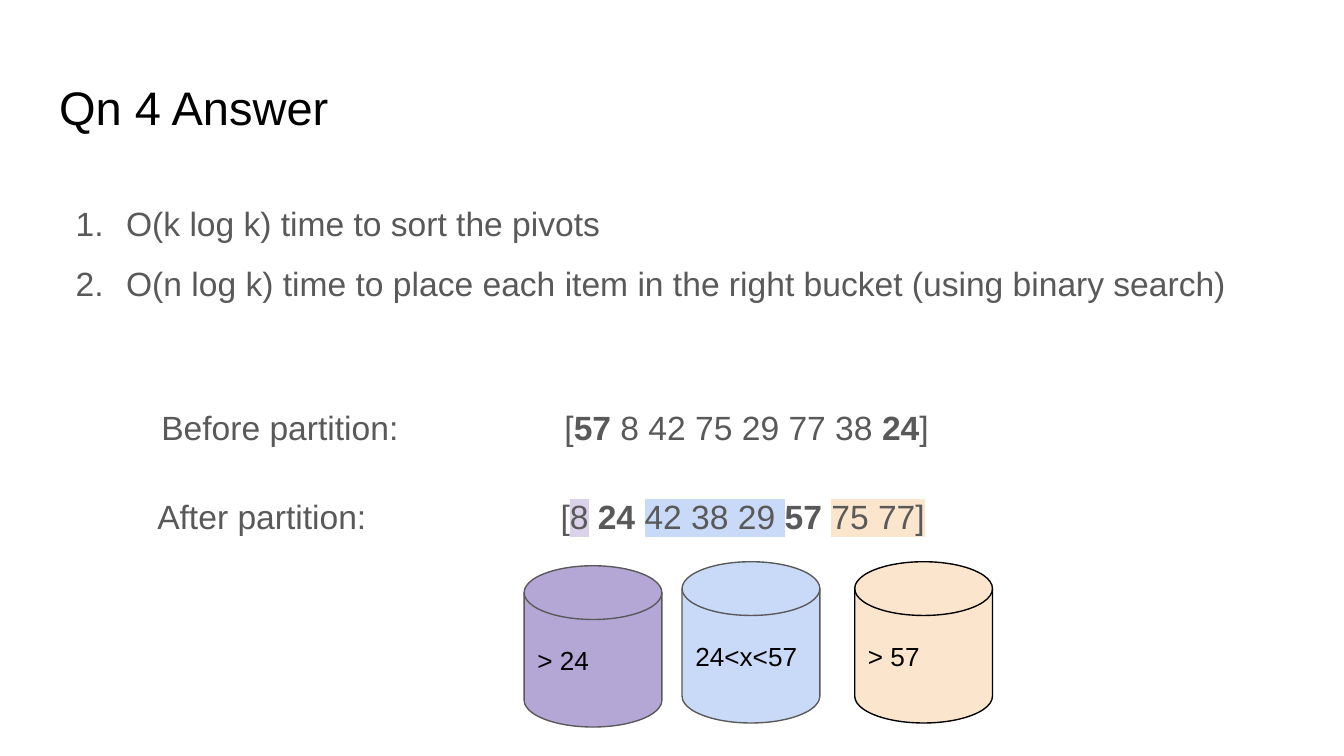
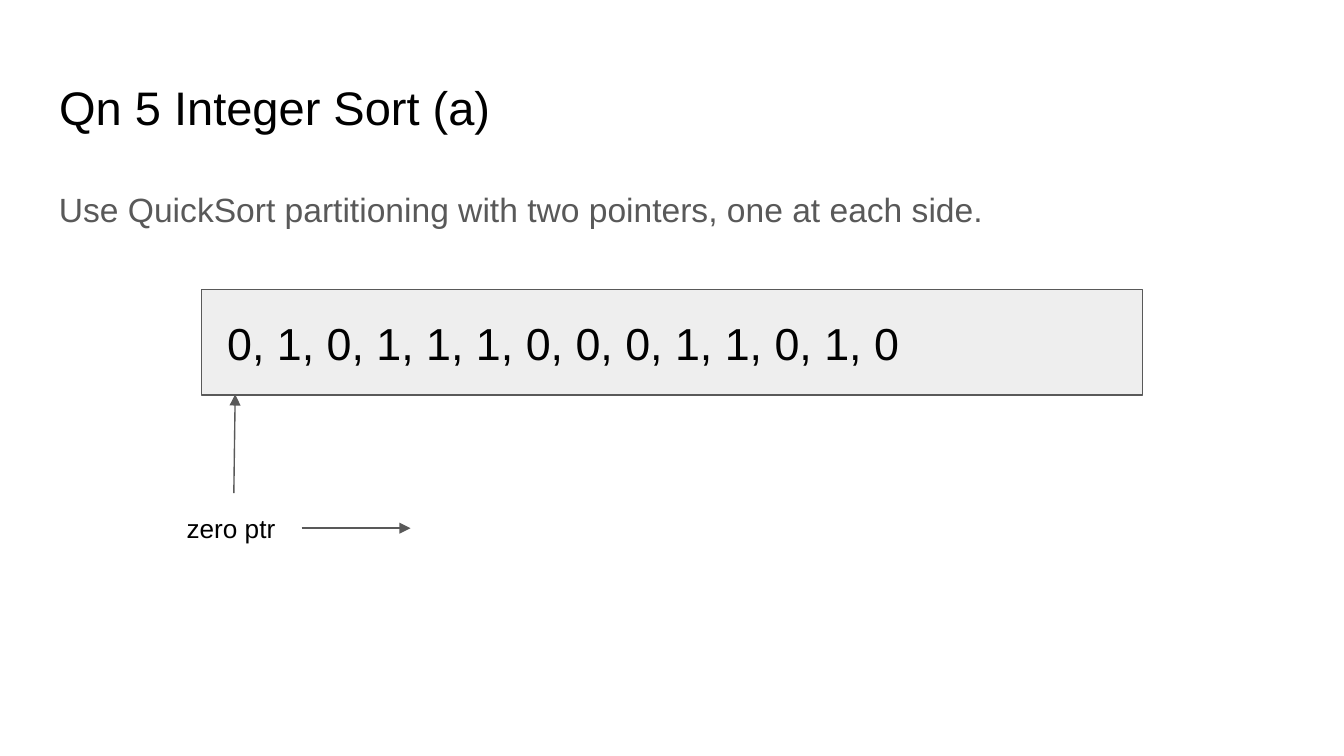
from dataclasses import dataclass

from lxml.etree import SubElement
from pptx import Presentation
from pptx.dml.color import RGBColor
from pptx.enum.shapes import MSO_CONNECTOR, MSO_SHAPE
from pptx.enum.text import MSO_ANCHOR, MSO_AUTO_SIZE, PP_ALIGN
from pptx.oxml.ns import qn
from pptx.util import Emu, Pt


@dataclass(frozen=True)
class Theme:
    font: str = "Arial"
    ink: str = "000000"
    grey: str = "595959"
    white: str = "FFFFFF"
    panel: str = "EEEEEE"
    purple: str = "B4A7D6"
    lilac: str = "D9D2E9"
    blue: str = "C9DAF8"
    peach: str = "FCE5CD"
    title: float = 25.2
    array: float = 24
    body: float = 18
    label: float = 14
    line: float = 0.75


THEME = Theme()
SCALE = 4572  # EMU in one px, 200 px to the inch
WIDTH, HEIGHT = 2000, 1125
TITLE = (68, 97, 1864, 125)


def px(*sizes):
    return [Emu(size * SCALE) for size in sizes]


def color(code):
    return RGBColor.from_string(code)


def style(run, size, code, bold=None):
    font = run.font
    font.name, font.size, font.bold = THEME.font, Pt(size), bold
    font.color.rgb = color(code)


def mark(run, code):
    """Highlight the run; its colour must be set already."""
    light = SubElement(run.font._element, qn("a:highlight"))
    SubElement(light, qn("a:srgbClr"), val=code)
    run.font._element.find(qn("a:solidFill")).addnext(light)


def setup(frame, anchor=MSO_ANCHOR.TOP):
    frame.word_wrap = True
    frame.auto_size = MSO_AUTO_SIZE.NONE
    frame.vertical_anchor = anchor
    inset, = px(20)
    frame.margin_left = frame.margin_right = inset
    frame.margin_top = frame.margin_bottom = inset


def write(frame, text, size, code, space=None):
    frame.text = text
    for para in frame.paragraphs:
        para.alignment = PP_ALIGN.LEFT
        para.line_spacing = space
        for run in para.runs:
            style(run, size, code)


def add_text(slide, box, text, size, code, space=None):
    frame = slide.shapes.add_textbox(*px(*box)).text_frame
    setup(frame)
    write(frame, text, size, code, space)
    return frame


def add_block(slide, kind, box, text, size, fill, line):
    shape = slide.shapes.add_shape(kind, *px(*box))
    shape.shadow.inherit = False
    shape.fill.solid()
    shape.fill.fore_color.rgb = color(fill)
    shape.line.color.rgb = color(line)
    shape.line.width = Pt(THEME.line)
    setup(shape.text_frame, MSO_ANCHOR.MIDDLE)
    write(shape.text_frame, text, size, THEME.ink)


def add_arrow(slide, start, end):
    arrow = slide.shapes.add_connector(MSO_CONNECTOR.STRAIGHT, *px(*start, *end))
    arrow.line.color.rgb = color(THEME.grey)
    arrow.line.width = Pt(THEME.line)
    props = arrow._element.spPr
    SubElement(props.find(qn("a:ln")), qn("a:tailEnd"), type="triangle")
    SubElement(props, qn("a:effectLst"))


def add_slide(deck, text):
    slide = deck.slides.add_slide(deck.slide_layouts[5])
    slide.background.fill.solid()
    slide.background.fill.fore_color.rgb = color(THEME.white)
    title = slide.shapes.title
    title.left, title.top, title.width, title.height = px(*TITLE)
    setup(title.text_frame)
    write(title.text_frame, text, THEME.title, THEME.ink)
    return slide


def add_steps(slide, box, steps):
    """Numbered list with a hanging indent."""
    frame = add_text(slide, box, "\n".join(steps), THEME.body, THEME.grey, 1.5)
    indent, hang = px(100, -75)
    for para in frame.paragraphs:
        props = para._p.get_or_add_pPr()
        props.set("marL", str(indent))
        props.set("indent", str(hang))
        tint = SubElement(props, qn("a:buClr"))
        SubElement(tint, qn("a:srgbClr"), val=THEME.grey)
        SubElement(props, qn("a:buFont"), typeface=THEME.font)
        SubElement(props, qn("a:buAutoNum"), type="arabicPeriod")


def add_row(slide, box, parts):
    """Centred line built from (text, bold, highlight) parts."""
    frame = slide.shapes.add_textbox(*px(*box)).text_frame
    setup(frame)
    para = frame.paragraphs[0]
    para.alignment = PP_ALIGN.CENTER
    para.line_spacing = 1.15
    para.space_before = para.space_after = Pt(12)
    tabs = SubElement(para._p.get_or_add_pPr(), qn("a:tabLst"))
    for stop in px(400, 600):
        SubElement(tabs, qn("a:tab"), pos=str(stop), algn="l")
    for text, bold, light in parts:
        run = para.add_run()
        run.text = text
        style(run, THEME.body, THEME.grey, bold)
        if light:
            mark(run, light)


def add_buckets(slide, box):
    left, top, width, height = box
    buckets = [
        (0, 6, "> 24", THEME.purple, THEME.grey),
        (235, 0, "24<x<57", THEME.blue, THEME.grey),
        (492, 0, "> 57", THEME.peach, THEME.ink),
    ]
    for x, y, text, fill, line in buckets:
        add_block(slide, MSO_SHAPE.FLOWCHART_MAGNETIC_DISK,
                  (left + x, top + y, width, height),
                  text, THEME.label, fill, line)


def add_pointer(slide, box):
    """Label with one arrow up to the array and one to the right."""
    left, top, width, height = box
    add_arrow(slide, (left + 90, top - 9), (left + 92, top - 156))
    add_text(slide, box, "zero ptr", THEME.label, THEME.ink)
    level = top + height // 2 - 1
    add_arrow(slide, (left + width, level), (left + width + 162, level))


def build_answer(deck):
    slide = add_slide(deck, "Qn 4 Answer")
    add_steps(slide, (68, 252, 1864, 278), [
        "O(k log k) time to sort the pivots",
        "O(n log k) time to place each item in the right bucket (using binary search)",
    ])
    add_row(slide, (106, 576, 1424, 178), [
        ("Before partition:\t\t[", False, None),
        ("57", True, None),
        (" 8 42 75 29 77 38 ", False, None),
        ("24", True, None),
        ("] ", False, None),
    ])
    add_row(slide, (100, 709, 1424, 178), [
        ("After partition:\t\t[", False, None),
        ("8", False, THEME.lilac),
        (" ", False, None),
        ("24 ", True, None),
        ("42 38 29 ", False, THEME.blue),
        ("57 ", True, None),
        ("75 77]", False, THEME.peach),
        (" ", False, None),
    ])
    add_buckets(slide, (780, 836, 205, 240))


def build_sort(deck):
    slide = add_slide(deck, "Qn 5 Integer Sort (a)")
    add_text(slide, (68, 252, 1864, 416),
             "Use QuickSort partitioning with two pointers, one at each side.",
             THEME.body, THEME.grey, 1.15)
    add_block(slide, MSO_SHAPE.RECTANGLE, (300, 431, 1400, 157),
              " 0, 1, 0, 1, 1, 1, 0, 0, 0, 1, 1, 0, 1, 0",
              THEME.array, THEME.panel, THEME.grey)
    add_pointer(slide, (258, 743, 191, 88))


def main():
    deck = Presentation()
    deck.slide_width, deck.slide_height = px(WIDTH, HEIGHT)
    build_answer(deck)
    build_sort(deck)
    deck.save("out.pptx")


if __name__ == "__main__":
    main()
